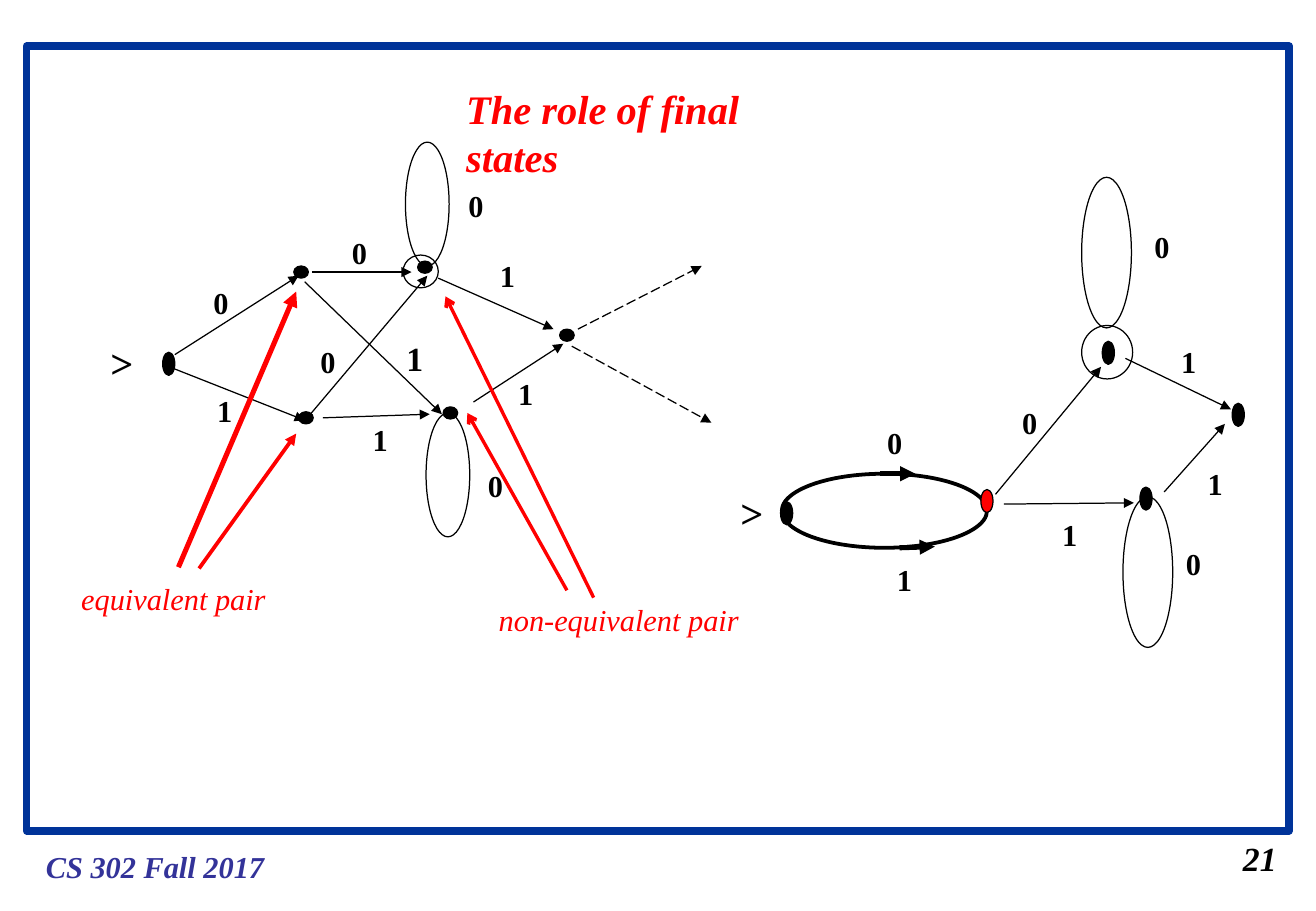
from dataclasses import dataclass
from pptx import Presentation
from pptx import util as u
from pptx.dml.color import RGBColor
from pptx.enum import dml, shapes, text
from pptx.oxml.ns import qn
from lxml import etree


@dataclass(frozen=True)
class Theme:
    font: str = "Times New Roman"
    ink: str = "000000"
    accent: str = "FF0000"
    frame: str = "003399"
    footer: str = "333399"
    body: int = 18
    large: int = 20
    title: int = 24
    thin: float = 0.75
    pointer: float = 2
    loop: float = 2.25
    heavy: float = 3
    border: float = 4.5


class Diagram:
    COLS, ROWS = 10.84, 7.5

    def __init__(self, prs, theme):
        self.theme = theme
        self.col = prs.slide_width / self.COLS
        self.row = prs.slide_height / self.ROWS
        self.s = prs.slides.add_slide(prs.slide_layouts[5])

    def place(self, x, y, w, h):
        return [u.Emu(round(n * unit)) for n, unit in
                zip((x, y, w, h), (self.col, self.row) * 2)]

    def fill_text(self, sp, content, color, size, wrap=False, **style):
        tf = sp.text_frame
        frame = dict(word_wrap=wrap, auto_size=text.MSO_AUTO_SIZE.NONE,
                     vertical_anchor=text.MSO_ANCHOR.TOP,
                     margin_left=u.Inches(0.1), margin_right=u.Inches(0.1),
                     margin_top=u.Inches(0.05), margin_bottom=u.Inches(0.05))
        for name, value in frame.items():
            setattr(tf, name, value)
        p = tf.paragraphs[0]
        p.alignment = text.PP_ALIGN.LEFT
        r = p.add_run()
        r.text = content
        fmt = dict(name=self.theme.font, size=u.Pt(size), bold=False, italic=False)
        for name, value in (fmt | style).items():
            setattr(r.font, name, value)
        r.font.color.rgb = RGBColor.from_string(color)

    def title(self, content, box):
        sp = self.s.shapes.title
        for name, value in zip(("left", "top", "width", "height"), self.place(*box)):
            setattr(sp, name, value)
        self.fill_text(sp, content, self.theme.accent, self.theme.title,
                       bold=True, italic=True)

    def label(self, content, box, color=None, size=None, **style):
        sp = self.s.shapes.add_textbox(*self.place(*box))
        self.fill_text(sp, content, color or self.theme.ink,
                       size or self.theme.body, **style)

    def outline(self, kind, box, color=None, width=None, fill=None):
        sp = self.s.shapes.add_shape(kind, *self.place(*box))
        sp.shadow.inherit = False
        if fill:
            sp.fill.solid()
            sp.fill.fore_color.rgb = RGBColor.from_string(fill)
        else:
            sp.fill.background()
        sp.line.color.rgb = RGBColor.from_string(color or self.theme.ink)
        sp.line.width = u.Pt(width or self.theme.thin)

    def oval(self, *box, **style):
        self.outline(shapes.MSO_SHAPE.OVAL, box, **style)

    def arrow(self, *ends, color=None, width=None, head="triangle", dash=None):
        cx = self.s.shapes.add_connector(shapes.MSO_CONNECTOR.STRAIGHT, *self.place(*ends))
        cx.line.color.rgb = RGBColor.from_string(color or self.theme.ink)
        cx.line.width = u.Pt(width or self.theme.thin)
        if dash:
            cx.line.dash_style = dash
        props = cx._element.spPr
        etree.SubElement(props.find(qn("a:ln")), qn("a:tailEnd"), type=head)
        etree.SubElement(props, qn("a:effectLst"))


def main():
    th = Theme()
    prs = Presentation()
    prs.slide_width, prs.slide_height = u.Inches(10.84), u.Inches(7.5)
    d = Diagram(prs, th)

    d.outline(shapes.MSO_SHAPE.RECTANGLE, (0.22, 0.38, 10.4, 6.46),
              color=th.frame, width=th.border)
    d.label("CS 302 Fall 2017", (0.28, 6.93, 2, 0.4), th.footer, bold=True, italic=True)
    d.label("21", (10.14, 6.85, 0.48, 0.44), size=th.large, bold=True, italic=True)
    d.title("The role of final states", (3.74, 0.64, 3.29, 0.5))

    for x, y in ((3.34, 1.17), (3.51, 3.4)):
        d.oval(x, y, 0.36, 1.02)
    for x, y in ((8.91, 1.46), (9.25, 4.09)):
        d.oval(x, y, 0.41, 1.24)
    d.oval(6.44, 3.9, 1.69, 0.61, width=th.loop)
    d.oval(3.32, 2.1, 0.29, 0.27)
    d.oval(8.91, 2.68, 0.42, 0.44)

    flat_states = ((2.42, 2.19), (2.46, 3.39), (3.44, 2.15), (4.61, 2.71), (3.65, 3.35))
    for x, y in flat_states:
        d.oval(x, y, 0.12, 0.1, fill=th.ink)
    tall_states = ((1.34, 2.9), (6.43, 4.13), (9.08, 2.81), (9.39, 4.01), (10.15, 3.32))
    for x, y in tall_states:
        d.oval(x, y, 0.1, 0.19, fill=th.ink)
    d.oval(8.08, 4.03, 0.1, 0.19, fill=th.accent)

    transitions = (
        (1.44, 2.92, 2.46, 2.27), (1.42, 3.03, 2.51, 3.46),
        (2.51, 2.32, 3.64, 3.41), (2.54, 3.43, 3.52, 2.27),
        (2.57, 2.24, 3.39, 2.24), (2.66, 3.44, 3.54, 3.41),
        (3.61, 2.29, 4.56, 2.71), (3.9, 3.31, 4.64, 2.83),
        (8.2, 4.07, 9.07, 3.02), (8.27, 4.15, 9.34, 4.14),
        (9.27, 2.95, 10.14, 3.37), (9.59, 4.05, 10.09, 3.49),
    )
    for ends in transitions:
        d.arrow(*ends)
    for ends in ((4.76, 2.71, 5.78, 2.19), (4.71, 2.85, 5.86, 3.48)):
        d.arrow(*ends, dash=dml.MSO_LINE.LONG_DASH)
    for ends in ((7.25, 3.9, 7.54, 3.9), (7.41, 4.51, 7.7, 4.5)):
        d.arrow(*ends, width=th.heavy)

    symbols = {
        "0": ((1.66, 2.29), (2.8, 1.88), (2.54, 2.78), (3.92, 3.8), (3.76, 1.49),
              (7.21, 3.44), (8.32, 3.28), (9.41, 1.83), (9.67, 4.44)),
        "1": ((1.69, 3.18), (2.97, 3.42), (4.02, 2.07), (4.17, 3.04),
              (7.29, 4.57), (8.65, 4.2), (9.63, 2.78), (9.85, 3.78)),
    }
    for symbol, spots in symbols.items():
        for x, y in spots:
            d.label(symbol, (x, y, 0.32, 0.4), bold=True)
    d.label("1", (3.25, 2.73, 0.34, 0.44), size=th.large, bold=True)
    for start in ((0.81, 2.73, 0.39, 0.5), (6, 3.97, 0.46, 0.5)):
        d.label(">", start, size=th.title, wrap=True, bold=True)

    pointers = (
        ((1.47, 4.67, 2.44, 2.4), th.heavy, "triangle"),
        ((1.64, 4.68, 2.44, 3.57), th.loop, "triangle"),
        ((4.89, 4.92, 3.67, 2.44), th.pointer, "arrow"),
        ((4.67, 4.86, 3.85, 3.4), th.pointer, "arrow"),
    )
    for ends, width, head in pointers:
        d.arrow(*ends, color=th.accent, width=width, head=head)
    d.label("equivalent pair", (0.57, 4.73, 1.72, 0.4), th.accent, italic=True)
    d.label("non-equivalent pair", (4.01, 4.9, 2.18, 0.4), th.accent, italic=True)

    prs.save("out.pptx")


if __name__ == "__main__":
    main()
